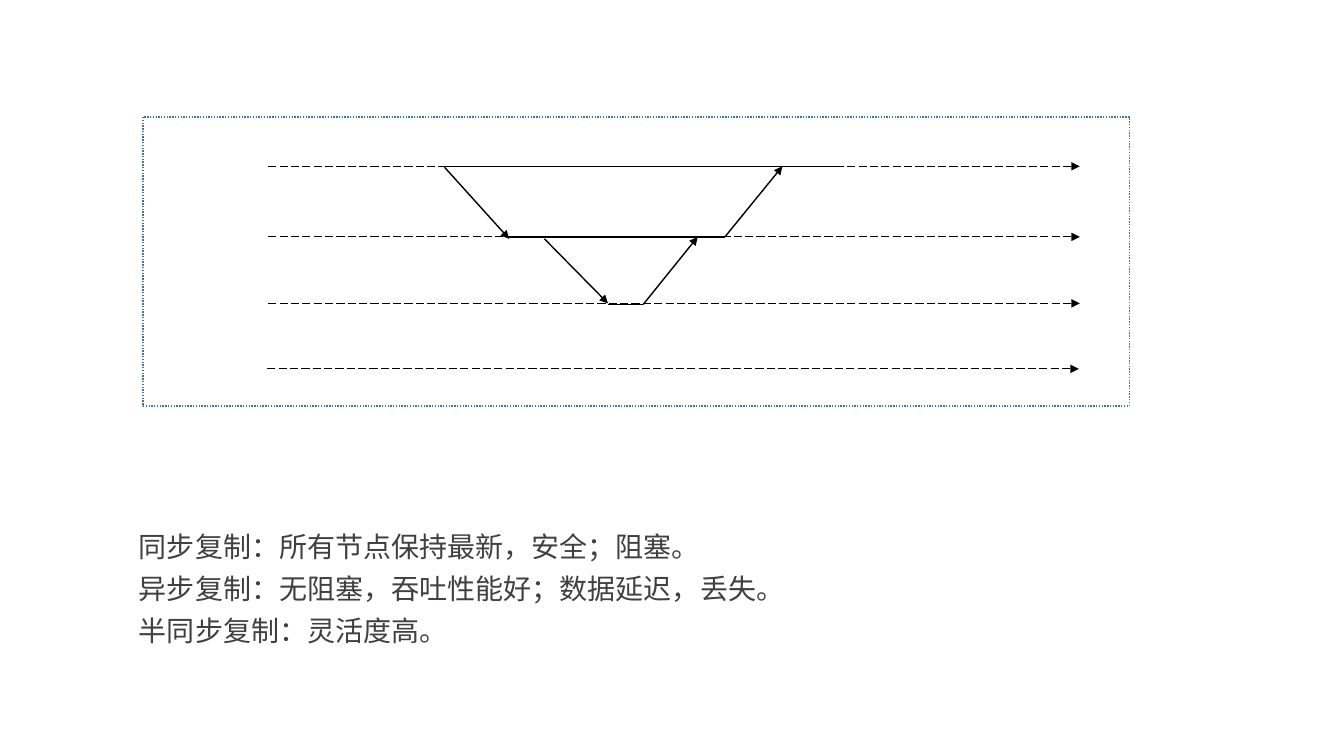
from dataclasses import dataclass

from lxml import etree
from pptx import Presentation
from pptx.dml.color import RGBColor
from pptx.enum.dml import MSO_LINE
from pptx.enum.shapes import MSO_CONNECTOR, MSO_SHAPE
from pptx.enum.text import MSO_AUTO_SIZE
from pptx.oxml.ns import qn
from pptx.util import Inches, Pt

STRAIGHT = MSO_CONNECTOR.STRAIGHT
RECT = MSO_SHAPE.RECTANGLE
DOT = MSO_LINE.ROUND_DOT
DASH = MSO_LINE.LONG_DASH
GROW = MSO_AUTO_SIZE.SHAPE_TO_FIT_TEXT


@dataclass(frozen=True)
class Theme:
    font: str = "Noto Sans CJK SC"
    size: float = 20
    ink: RGBColor = RGBColor(0x40, 0x40, 0x40)
    line: RGBColor = RGBColor(0, 0, 0)
    edge: RGBColor = RGBColor(0x43, 0x73, 0x9E)
    thin: float = 0.75
    thick: float = 1


THEME = Theme()

LANES = [(2.66, 1.65), (2.66, 2.35), (2.66, 3.01), (2.65, 3.66)]
LANE_WIDTH = 8.05
SPANS = [(4.34, 8.29, 1.65), (5.05, 7.19, 2.35), (6.03, 6.38, 3.02)]
CALLS = [
    (4.41, 1.66, 5.05, 2.37),
    (7.19, 2.35, 7.76, 1.65),
    (5.4, 2.37, 6.03, 3.01),
    (6.38, 3.02, 6.92, 2.35),
]
NOTES = [
    "同步复制：所有节点保持最新，安全；阻塞。",
    "异步复制：无阻塞，吞吐性能好；数据延迟，丢失。",
    "半同步复制：灵活度高。",
]


def add_frame(slide, *box):
    frame = slide.shapes.add_shape(RECT, *map(Inches, box))
    frame.shadow.inherit = False
    frame.fill.background()
    frame.line.color.rgb = THEME.edge
    frame.line.width = Pt(THEME.thick)
    frame.line.dash_style = DOT


def add_line(slide, *ends, width=THEME.thick, dash=None, arrow=False):
    link = slide.shapes.add_connector(STRAIGHT, *map(Inches, ends))
    link.line.color.rgb = THEME.line
    link.line.width = Pt(width)
    if dash:
        link.line.dash_style = dash
    props = link._element.spPr
    if arrow:
        etree.SubElement(props.find(qn("a:ln")), qn("a:tailEnd"), type="triangle")
    etree.SubElement(props, qn("a:effectLst"))


def add_notes(slide, lines, *box):
    frame = slide.shapes.add_textbox(*map(Inches, box)).text_frame
    frame.word_wrap = True
    frame.auto_size = GROW
    for i, line in enumerate(lines):
        para = frame.add_paragraph() if i else frame.paragraphs[0]
        para.line_spacing = 1.25
        run = para.add_run()
        run.text = line
        font = run.font
        font.name = THEME.font
        font.size = Pt(THEME.size)
        font.color.rgb = THEME.ink
        etree.SubElement(font._element, qn("a:ea"), typeface=THEME.font)


def main():
    deck = Presentation()
    deck.slide_width = Inches(13.33)
    deck.slide_height = Inches(7.5)
    slide = deck.slides.add_slide(deck.slide_layouts[6])
    add_frame(slide, 1.42, 1.16, 9.78, 2.87)
    for x, y in LANES:
        add_line(slide, x, y, x + LANE_WIDTH, y, width=THEME.thin, dash=DASH, arrow=True)
    for left, right, y in SPANS:
        add_line(slide, left, y, right, y)
    for ends in CALLS:
        add_line(slide, *ends, arrow=True)
    add_notes(slide, NOTES, 1.28, 5.12, 10.82, 1.62)
    deck.save("out.pptx")


if __name__ == "__main__":
    main()
